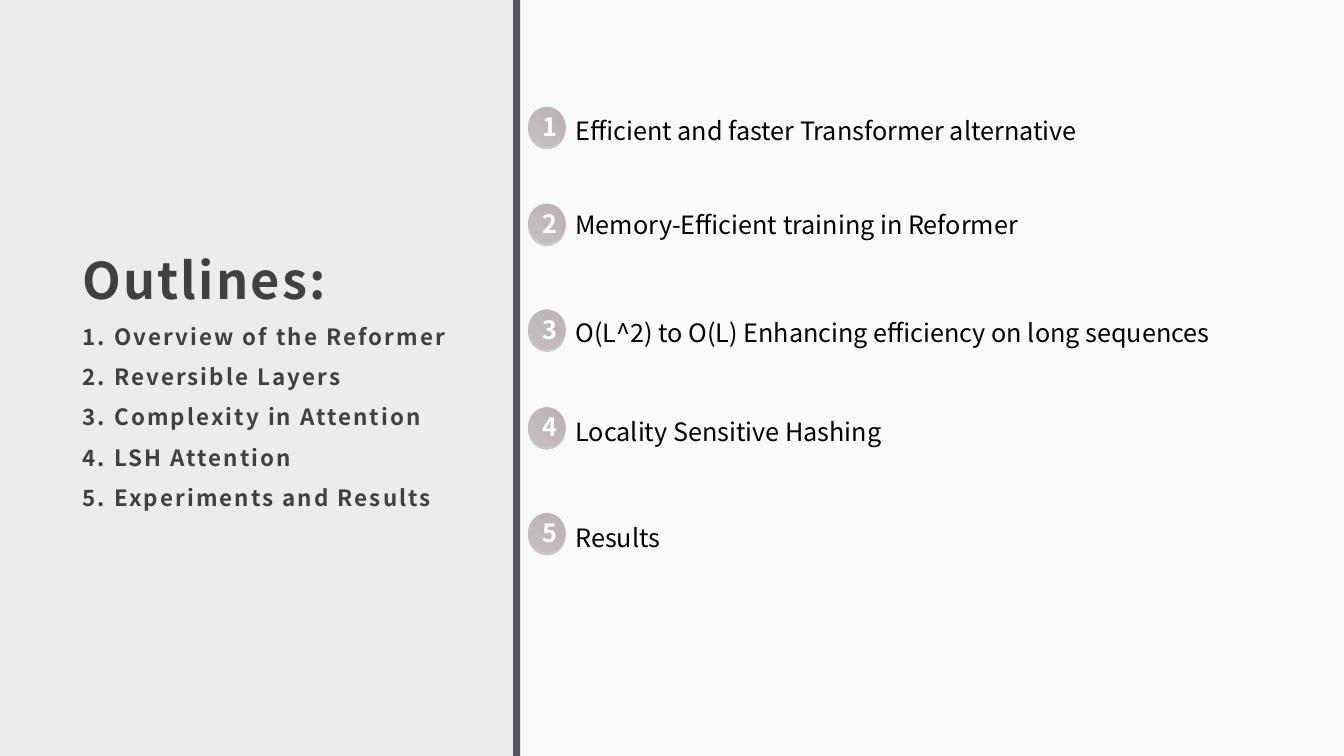
from lxml.etree import SubElement
from pptx import Presentation
from pptx.dml.color import RGBColor
from pptx.enum.shapes import MSO_SHAPE
from pptx.enum.text import MSO_ANCHOR, PP_ALIGN
from pptx.oxml import parse_xml
from pptx.oxml.ns import nsdecls, qn
from pptx.util import Inches, Pt

FONT = "Noto Sans CJK JP"
OUTLINE = ["1. Overview of the Reformer", "2. Reversible Layers",
           "3. Complexity in Attention", "4. LSH Attention",
           "5. Experiments and Results"]
# Badge top, label top, label
TOPICS = [(1.06, 1.09, "Efficient and faster Transformer alternative"),
          (2.02, 2.03, "Memory-Efficient training in Reformer"),
          (3.07, 3.10, "O(L^2) to O(L) Enhancing efficiency on long sequences"),
          (4.04, 4.08, "Locality Sensitive Hashing"),
          (5.09, 5.13, "Results")]


def rgb(color):
    return RGBColor.from_string(color)


def add_run(p, text, size, color, bold=False):
    r = p.add_run()
    r.text = text
    r.font.name = FONT
    r.font.size = Pt(size)
    r.font.bold = bold
    r.font.color.rgb = rgb(color)
    return r


def add_shape(s, kind, x, y, w, h):
    sp = s.shapes.add_shape(kind, Inches(x), Inches(y), Inches(w), Inches(h))
    sp.shadow.inherit = False
    sp.line.fill.background()
    return sp


def add_text_box(s, x, y, w, h):
    tf = s.shapes.add_textbox(Inches(x), Inches(y), Inches(w), Inches(h)).text_frame
    tf.word_wrap = True
    return tf


def add_panel(s, x, y, w, h):
    # Translucent white area
    area = add_shape(s, MSO_SHAPE.RECTANGLE, x, y, w, h)
    area.fill.solid()
    area.fill.fore_color.rgb = rgb("FFFFFF")
    white = area.fill._xPr.find(qn("a:solidFill"))[0]
    SubElement(white, qn("a:alpha"), val="75000")
    # Dark divider along its left edge
    divider = add_shape(s, MSO_SHAPE.RECTANGLE, x - 0.07, y, 0.07, h)
    divider.fill.solid()
    divider.fill.fore_color.rgb = rgb("595460")


def add_outline(s, x, y, w, h):
    tf = add_text_box(s, x, y, w, h)
    tf.vertical_anchor = MSO_ANCHOR.MIDDLE
    tf.margin_left = tf.margin_right = tf.margin_top = Inches(0.12)
    tf.margin_bottom = Inches(0.1)
    for i, line in enumerate(["Outlines:"] + OUTLINE):
        p = tf.add_paragraph() if i else tf.paragraphs[0]
        p.line_spacing = 1.5
        r = add_run(p, line, 16 if i else 36, "404040", True)
        r.font._element.set("spc", "150")


def add_badge(s, x, y, number):
    sp = add_shape(s, MSO_SHAPE.OVAL, x, y, 0.37, 0.39)
    # Radial gradient
    sp.fill.gradient()
    for stop, color in zip(sp.fill.gradient_stops, ["C5BDBF", "BDB3B6"]):
        stop.color.rgb = rgb(color)
    spPr = sp._element.spPr
    grad = spPr.find(qn("a:gradFill"))
    grad.replace(grad.find(qn("a:lin")), parse_xml(
        f'<a:path {nsdecls("a")} path="circle">'
        '<a:fillToRect t="100000" r="100000"/></a:path>'))
    # Soft shadow below
    spPr.find(qn("a:effectLst")).append(parse_xml(
        f'<a:outerShdw {nsdecls("a")} dist="25400" dir="5400000">'
        '<a:srgbClr val="000000"><a:alpha val="20000"/></a:srgbClr></a:outerShdw>'))
    # Number
    tf = sp.text_frame
    tf.margin_right = tf.margin_top = tf.margin_bottom = 0
    tf.margin_left = Inches(0.06)
    tf.vertical_anchor = MSO_ANCHOR.MIDDLE
    p = tf.paragraphs[0]
    p.alignment = PP_ALIGN.CENTER
    add_run(p, str(number), 18, "FFFFFF", True)


def add_topics(s, x, w):
    for number, (badge_top, label_top, label) in enumerate(TOPICS, 1):
        add_badge(s, x, badge_top, number)
        tf = add_text_box(s, x + 0.37, label_top, w - 0.37, 0.4)
        add_run(tf.paragraphs[0], label, 18, "000000")


def main():
    prs = Presentation()
    prs.slide_width, prs.slide_height = Inches(13.33), Inches(7.5)
    s = prs.slides.add_slide(prs.slide_layouts[6])
    s.background.fill.solid()
    s.background.fill.fore_color.rgb = rgb("EBEDEB")
    add_panel(s, 5.16, 0, 8.17, 7.5)
    add_outline(s, 0.7, 0.77, 4.17, 5.68)
    add_topics(s, 5.24, 8)
    prs.save("out.pptx")


if __name__ == "__main__":
    main()
